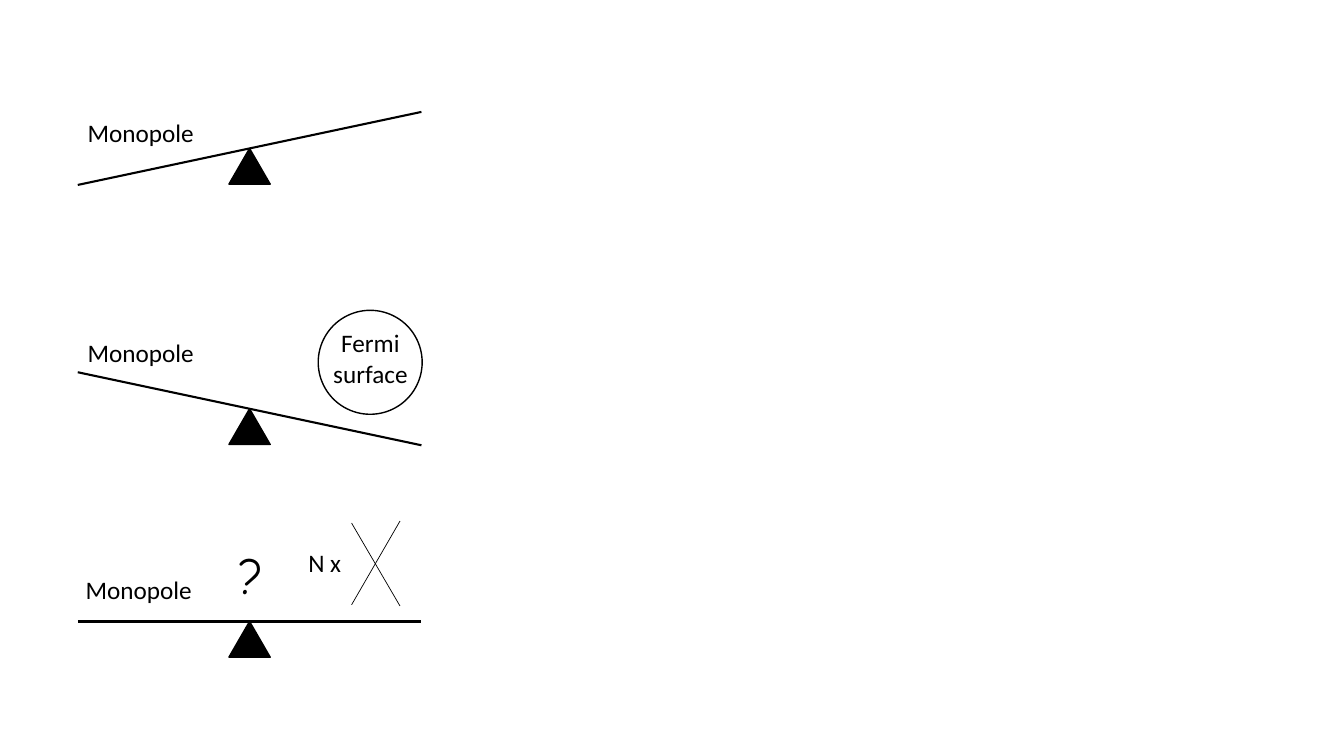
"""Build a slide of three seesaws that weigh a monopole."""
from dataclasses import dataclass

from lxml import etree
from pptx import Presentation
from pptx.dml.color import RGBColor
from pptx.enum.shapes import MSO_CONNECTOR, MSO_SHAPE
from pptx.enum.text import MSO_AUTO_SIZE, PP_ALIGN
from pptx.oxml.ns import qn
from pptx.util import Cm, Pt

STRAIGHT = MSO_CONNECTOR.STRAIGHT
TRIANGLE, OVAL = MSO_SHAPE.ISOSCELES_TRIANGLE, MSO_SHAPE.OVAL
LEFT, CENTER = PP_ALIGN.LEFT, PP_ALIGN.CENTER
GROW = MSO_AUTO_SIZE.SHAPE_TO_FIT_TEXT

BLACK = "000000"
PIVOT_X = 6.29          # all lengths in centimetres
HALF_BEAM = 4.33
BASE, HEIGHT = 1.04, 0.9


@dataclass
class Seesaw:
    """A beam on a pivot; a positive tilt lifts the right end."""
    pivot_y: float
    tilt: float
    label_x: float
    label_y: float


SEESAWS = [
    Seesaw(3.74, 0.92, 1.96, 2.82),
    Seesaw(10.3, -0.92, 1.96, 8.38),
    Seesaw(15.66, 0, 1.91, 14.35),
]


def color(code: str) -> RGBColor:
    """Turn a hex string into a colour."""
    return RGBColor.from_string(code)


def add_line(slide, start: tuple, end: tuple, width: float) -> None:
    """Draw a straight black line without a shadow."""
    ends = [Cm(value) for value in (*start, *end)]
    line = slide.shapes.add_connector(STRAIGHT, *ends)
    line.line.color.rgb = color(BLACK)
    line.line.width = Pt(width)
    etree.SubElement(line._element.spPr, qn("a:effectLst"))


def add_form(slide, kind, box: tuple, fill: str = "") -> None:
    """Draw a preset shape with a black outline and optional fill."""
    form = slide.shapes.add_shape(kind, *map(Cm, box))
    form.shadow.inherit = False
    if fill:
        form.fill.solid()
        form.fill.fore_color.rgb = color(fill)
    else:
        form.fill.background()
    form.line.color.rgb = color(BLACK)
    form.line.width = Pt(1)


def add_text(slide, text: str, box: tuple, *, size: float = 18,
             font: str = "Calibri", align=LEFT, wrap: bool = False) -> None:
    """Write black text in a box."""
    frame = slide.shapes.add_textbox(*map(Cm, box)).text_frame
    frame.word_wrap = wrap
    frame.auto_size = GROW
    para = frame.paragraphs[0]
    para.text = text
    para.alignment = align
    for run in para.runs:
        run.font.name = font
        run.font.size = Pt(size)
        run.font.color.rgb = color(BLACK)


def add_seesaw(slide, saw: Seesaw) -> None:
    """Draw the pivot, the beam and the label of one seesaw."""
    add_form(slide, TRIANGLE,
             (PIVOT_X - BASE / 2, saw.pivot_y, BASE, HEIGHT), BLACK)
    add_line(slide, (PIVOT_X - HALF_BEAM, saw.pivot_y + saw.tilt),
             (PIVOT_X + HALF_BEAM, saw.pivot_y - saw.tilt), 1.5)
    add_text(slide, "Monopole", (saw.label_x, saw.label_y, 3.23, 1.03))


def add_loads(slide) -> None:
    """Add what rests on the second and third beams."""
    add_form(slide, OVAL, (8.02, 7.82, 2.62, 2.62))
    add_text(slide, "Fermi\nsurface", (8.13, 8.13, 2.41, 1.8), align=CENTER)
    add_line(slide, (8.86, 13.18), (10.08, 15.27), 0.5)
    add_line(slide, (10.08, 13.13), (8.86, 15.24), 0.5)
    add_text(slide, "N x", (7.52, 13.67, 1.35, 1.03))
    add_text(slide, "?", (5.77, 13.59, 0.91, 1.8), size=36,
             font="Comic Neue", wrap=True)


def main() -> None:
    """Build and save the slide."""
    deck = Presentation()
    deck.slide_width, deck.slide_height = Cm(33.87), Cm(19.05)
    slide = deck.slides.add_slide(deck.slide_layouts[6])
    for saw in SEESAWS:
        add_seesaw(slide, saw)
    add_loads(slide)
    deck.save("out.pptx")


main()
